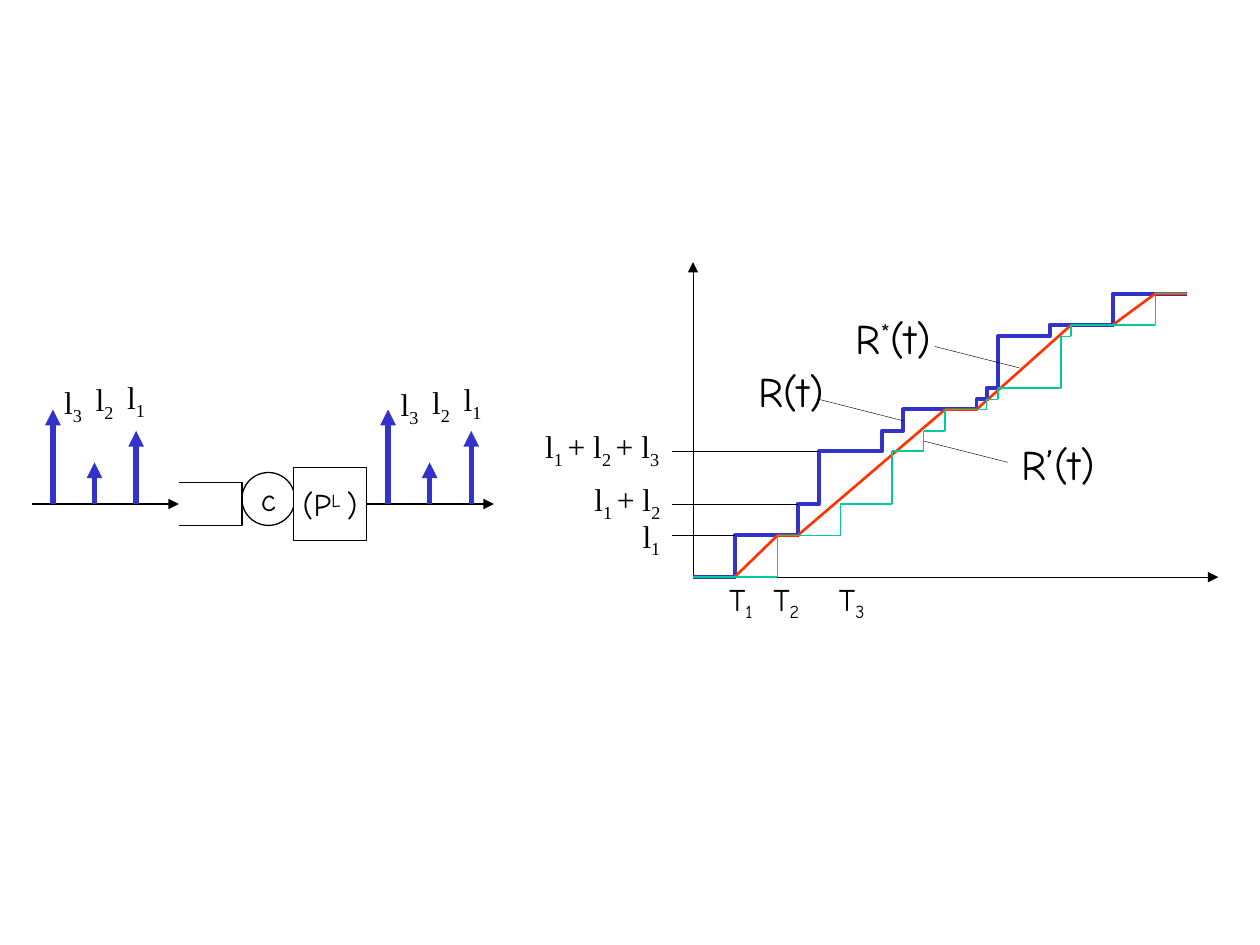
from itertools import pairwise

from lxml import etree
from pptx import Presentation
from pptx.dml.color import RGBColor
from pptx.enum.shapes import MSO_CONNECTOR, MSO_SHAPE
from pptx.enum.text import MSO_ANCHOR, MSO_AUTO_SIZE, PP_ALIGN
from pptx.oxml.ns import qn
from pptx.util import Inches, Pt

STRAIGHT = MSO_CONNECTOR.STRAIGHT
OVAL, RECTANGLE = MSO_SHAPE.OVAL, MSO_SHAPE.RECTANGLE
TOP, MIDDLE = MSO_ANCHOR.TOP, MSO_ANCHOR.MIDDLE
CENTER = PP_ALIGN.CENTER
FIT_SHAPE = MSO_AUTO_SIZE.SHAPE_TO_FIT_TEXT
RIGHT_SIDE = 3
SUBSCRIPT, SUPERSCRIPT = -25000, 30000
SANS, SERIF = "Comic Neue", "Times New Roman"
COLORS = {"ink": "000000", "paper": "FFFFFF", "input": "3333CC",
          "fluid": "FF3300", "packet": "00CC99"}

# Each curve starts at the origin and ends at END_X
ORIGIN = (5.5, 4.58)
END_X = 9.42
INPUT_STEPS = [(5.83, 4.25), (6.33, 4), (6.5, 3.58), (7, 3.42), (7.17, 3.25),
               (7.75, 3.17), (7.83, 3.08), (7.92, 2.67), (8.33, 2.58), (8.83, 2.33)]
PACKET_STEPS = [(6.17, 4.25), (6.67, 4), (7.08, 3.58), (7.33, 3.42), (7.5, 3.25),
                (7.83, 3.17), (7.92, 3.08), (8.42, 2.67), (8.5, 2.58), (9.17, 2.33)]
FLUID_POINTS = [ORIGIN, (5.83, 4.58), (6.17, 4.25), (6.33, 4.25), (7.5, 3.25),
                (7.75, 3.25), (8.5, 2.58), (8.83, 2.58), (9.17, 2.33), (END_X, 2.33)]

# Packet arrows: offset from the left, height of the tip
PACKETS = [(0, 3.25), (0.33, 3.67), (0.66, 3.42)]
TIME_AXIS_Y = 4


def color(name):
    return RGBColor.from_string(COLORS[name])


def stairs(steps):
    """Corner points of a staircase that jumps to y at each x."""
    points = [ORIGIN]
    for x, y in steps:
        points += [(x, points[-1][1]), (x, y)]
    return points + [(END_X, points[-1][1])]


def style_outline(shape, name="ink", width=0.75, fill=None):
    shape.line.color.rgb = color(name)
    shape.line.width = Pt(width)
    shape.shadow.inherit = False
    if fill:
        shape.fill.solid()
        shape.fill.fore_color.rgb = color(fill)
    else:
        shape.fill.background()


def add_line(shapes, start, end, name="ink", width=0.25, arrow=False):
    line = shapes.add_connector(STRAIGHT, *map(Inches, (*start, *end)))
    line.line.color.rgb = color(name)
    line.line.width = Pt(width)
    properties = line._element.spPr
    if arrow:
        etree.SubElement(properties.find(qn("a:ln")), qn("a:tailEnd"), type="triangle")
    etree.SubElement(properties, qn("a:effectLst"))
    return line


def add_segments(shapes, points, name, width):
    for start, end in pairwise(points):
        add_line(shapes, start, end, name, width)


def add_outline(shapes, points, **style):
    start, *rest = [(Inches(x), Inches(y)) for x, y in points]
    builder = shapes.build_freeform(*start)
    builder.add_line_segments(rest, close=False)
    style_outline(builder.convert_to_shape(), **style)


def write_text(shape, text, font=SANS, size=18, baseline=SUBSCRIPT, anchor=MIDDLE):
    """Write text in which every second part between bars is shifted."""
    frame = shape.text_frame
    frame.word_wrap = False
    frame.vertical_anchor = anchor
    para = frame.paragraphs[0]
    para.alignment = CENTER
    for index, part in enumerate(text.split("|")):
        span = para.add_run()
        span.text = part
        span.font.name = font
        span.font.size = Pt(size)
        span.font.color.rgb = color("ink")
        if index % 2:
            span.font._element.set("baseline", str(baseline))


def add_label(shapes, text, left, top, width, height=0.44, **text_format):
    box = shapes.add_textbox(*map(Inches, (left, top, width, height)))
    write_text(box, text, **text_format)
    box.text_frame.auto_size = FIT_SHAPE


def add_node(shapes, kind, text, left, top, size, fill=None, **text_format):
    node = shapes.add_shape(kind, *map(Inches, (left, top, size, size)))
    style_outline(node, fill=fill)
    write_text(node, text, **text_format)
    return node


def draw_graph(shapes):
    # Axes and curves
    add_line(shapes, ORIGIN, (9.67, 4.58), arrow=True)
    add_line(shapes, ORIGIN, (5.5, 2.08), arrow=True)
    add_outline(shapes, stairs(INPUT_STEPS), name="input", width=2.25)
    add_segments(shapes.add_group_shape().shapes, FLUID_POINTS, "fluid", 1.5)
    add_segments(shapes, stairs(PACKET_STEPS), "packet", 0.75)

    # Curve names and their leaders
    for text, left, top, width, start in [("R(t)", 5.88, 2.85, 0.8, (6.5, 3.17)),
                                          ("R’(t)", 7.97, 3.43, 0.86, (7.33, 3.5)),
                                          ("R|*|(t)", 6.65, 2.43, 0.88, (7.42, 2.75))]:
        add_label(shapes, text, left, top, width, 0.5, size=24, baseline=SUPERSCRIPT)
        add_line(shapes, start, (start[0] + 0.67, start[1] + 0.17))

    # Time labels
    for number, left in enumerate([5.64, 6, 6.52], start=1):
        add_label(shapes, f"T|{number}", left, 4.55, 0.48)

    # Level labels, one for each of the first three input steps
    levels = [("l|1", 4.96, 4.05, 0.42), ("l|1 |+ l|2", 4.58, 3.76, 0.8),
              ("l|1 |+ l|2 |+ l|3", 4.18, 3.34, 1.2)]
    for (x, y), (text, left, top, width) in zip(INPUT_STEPS, levels):
        add_line(shapes, (x, y), (5.33, y))
        add_label(shapes, text, left, top, width, font=SERIF)


def draw_packets(shapes, first_x, label_left, label_top):
    for offset, tip in PACKETS:
        x = first_x + offset
        add_line(shapes, (x, TIME_AXIS_Y), (x, tip), "input", 3, arrow=True)
    for index, number in enumerate([3, 2, 1]):
        add_label(shapes, f"l|{number}", label_left + 0.25 * index,
                  label_top - 0.02 * index, 0.34, font=SERIF, anchor=TOP)


def draw_system(shapes):
    # Queue, server and packetizer
    add_outline(shapes, [(1.42, 3.83), (1.92, 3.83), (1.92, 4.17), (1.42, 4.17)],
                width=1, fill="paper")
    add_node(shapes, OVAL, "c", 1.92, 3.75, 0.42)
    packetizer = add_node(shapes, RECTANGLE, "(P|L |)", 2.33, 3.71, 0.58,
                          fill="paper", baseline=SUPERSCRIPT)

    # Input and output flows
    add_line(shapes, (0.25, TIME_AXIS_Y), (1.42, TIME_AXIS_Y), width=0.75, arrow=True)
    output = add_line(shapes, (2.91, TIME_AXIS_Y), (3.92, TIME_AXIS_Y),
                      width=0.75, arrow=True)
    output.begin_connect(packetizer, RIGHT_SIDE)
    draw_packets(shapes, 0.42, 0.41, 2.99)
    draw_packets(shapes, 3.08, 3.08, 3.01)


def main():
    deck = Presentation()
    deck.slide_width, deck.slide_height = Inches(10), Inches(7.5)
    page = deck.slides.add_slide(deck.slide_layouts[6])
    draw_graph(page.shapes)
    draw_system(page.shapes)
    deck.save("out.pptx")


if __name__ == "__main__":
    main()
